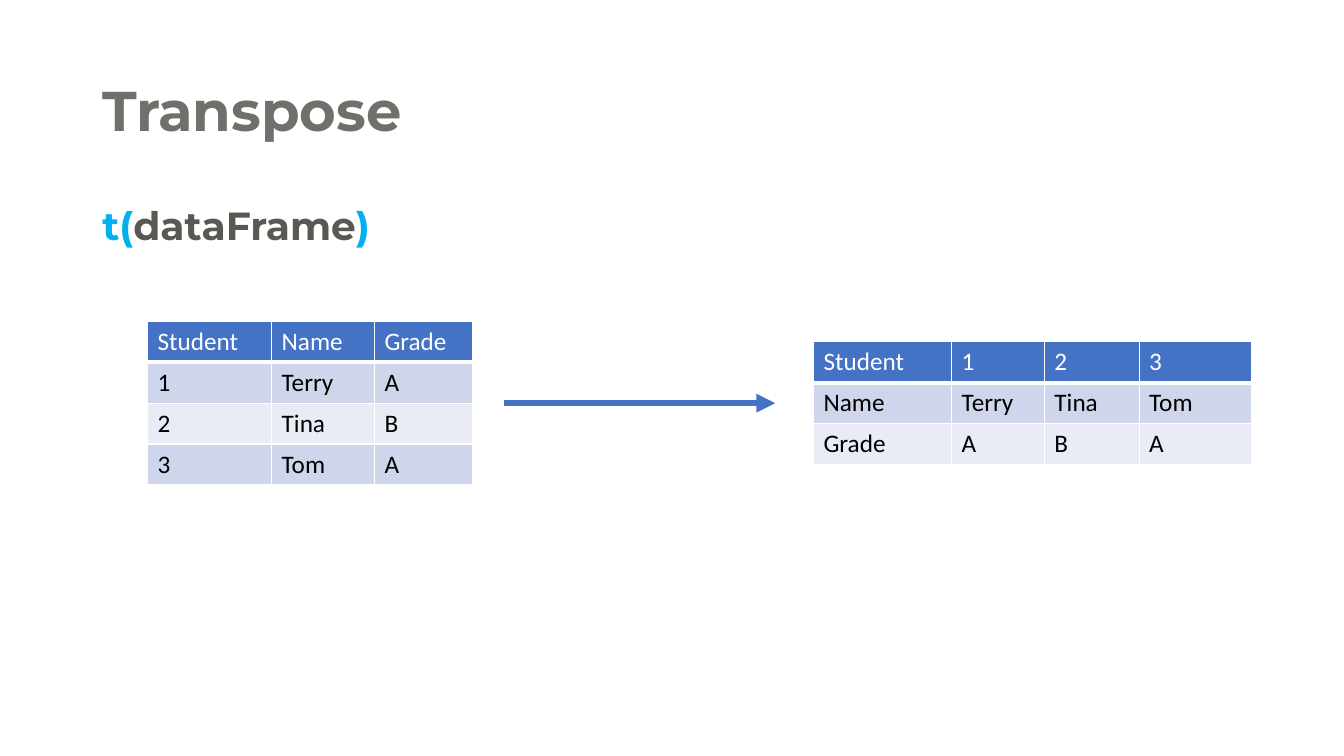
from dataclasses import dataclass
from typing import Any

import pptx
import pptx.dml.color
import pptx.enum.shapes
import pptx.enum.text
import pptx.oxml
import pptx.oxml.ns
import pptx.util

RGBColor = pptx.dml.color.RGBColor
WHITE = RGBColor(0xFF, 0xFF, 0xFF)
BLACK = RGBColor(0x00, 0x00, 0x00)
TITLE_GRAY = RGBColor(0x6E, 0x70, 0x6A)
ARGUMENT_GRAY = RGBColor(0x58, 0x59, 0x51)
FUNCTION_BLUE = RGBColor(0x00, 0xB0, 0xF0)
HEADER_BLUE = RGBColor(0x44, 0x72, 0xC4)
BANDS = (RGBColor(0xCF, 0xD5, 0xEA), RGBColor(0xE9, 0xEB, 0xF5))

SLIDE_WIDTH = pptx.util.Inches(13.33)
SLIDE_HEIGHT = pptx.util.Inches(7.5)

# Places and sizes are percentages of the slide's width or height
MARGIN, TEXT_WIDTH = 6.88, 86.25
MIDLINE = 53.33
ROW_HEIGHT = 5.41

TITLE_FORMAT = {"name": "Montserrat", "size": pptx.util.Pt(40), "bold": True}
CODE_FORMAT = {"name": "Montserrat", "size": pptx.util.Pt(28), "bold": True}
CELL_FORMAT = {"name": "Calibri", "size": pptx.util.Pt(18), "bold": False}

STUDENTS = (
    ("Student", "Name", "Grade"),
    ("1", "Terry", "A"),
    ("2", "Tina", "B"),
    ("3", "Tom", "A"),
)


@dataclass
class Phrase:
    text: str
    color: RGBColor


@dataclass
class TextBlock:
    top: float
    height: float
    anchor: Any
    font_format: dict[str, Any]
    phrases: tuple[Phrase, ...]


@dataclass
class DataFrame:
    left: float
    column_widths: tuple[float, ...]
    rows: tuple[tuple[str, ...], ...]


TEXT_BLOCKS = (
    TextBlock(5.33, 19.33, pptx.enum.text.MSO_ANCHOR.MIDDLE, TITLE_FORMAT,
              (Phrase("Transpose", TITLE_GRAY),)),
    TextBlock(26.62, 63.45, pptx.enum.text.MSO_ANCHOR.TOP, CODE_FORMAT,
              (Phrase("t(", FUNCTION_BLUE),
               Phrase("dataFrame", ARGUMENT_GRAY),
               Phrase(")", FUNCTION_BLUE))),
)
DATA_FRAMES = (
    DataFrame(10.98, (9.23, 7.65, 7.28), STUDENTS),
    DataFrame(60.53, (10.28, 6.9, 7.05, 8.4), tuple(zip(*STUDENTS))),
)


def across(percent: float) -> int:
    return round(SLIDE_WIDTH * percent / 100)


def down(percent: float) -> int:
    return round(SLIDE_HEIGHT * percent / 100)


def format_run(run: Any, font_format: dict[str, Any], color: RGBColor) -> None:
    for attribute, value in font_format.items():
        setattr(run.font, attribute, value)
    run.font.color.rgb = color


def draw_text(slide: Any, block: TextBlock) -> None:
    box = slide.shapes.add_textbox(across(MARGIN), down(block.top),
                                   across(TEXT_WIDTH), down(block.height))
    frame = box.text_frame
    frame.word_wrap = True
    frame.vertical_anchor = block.anchor
    paragraph = frame.paragraphs[0]
    paragraph.line_spacing = 0.9
    for phrase in block.phrases:
        run = paragraph.add_run()
        run.text = phrase.text
        format_run(run, block.font_format, phrase.color)


def add_borders(cell: Any, is_header: bool) -> None:
    properties = cell._tc.get_or_add_tcPr()
    for side in "LRTB":
        width = pptx.util.Pt(3 if is_header and side == "B" else 1)
        properties.append(pptx.oxml.parse_xml(
            f'<a:ln{side} {pptx.oxml.ns.nsdecls("a")} w="{width}"><a:solidFill>'
            f'<a:srgbClr val="{WHITE}"/></a:solidFill></a:ln{side}>'))


def draw_data_frame(slide: Any, data: DataFrame) -> None:
    height = ROW_HEIGHT * len(data.rows)
    table = slide.shapes.add_table(
        len(data.rows), len(data.column_widths),
        across(data.left), down(MIDLINE - height / 2),
        across(sum(data.column_widths)), down(height)).table
    for column, width in zip(table.columns, data.column_widths):
        column.width = across(width)
    for row_index, values in enumerate(data.rows):
        is_header = row_index == 0
        table.rows[row_index].height = down(ROW_HEIGHT)
        for column_index, value in enumerate(values):
            cell = table.cell(row_index, column_index)
            add_borders(cell, is_header)
            cell.fill.solid()
            cell.fill.fore_color.rgb = (
                HEADER_BLUE if is_header else BANDS[(row_index - 1) % 2])
            run = cell.text_frame.paragraphs[0].add_run()
            run.text = value
            format_run(run, CELL_FORMAT, WHITE if is_header else BLACK)


def draw_arrow(slide: Any, start: float, end: float) -> None:
    arrow = slide.shapes.add_connector(
        pptx.enum.shapes.MSO_CONNECTOR.STRAIGHT,
        across(start), down(MIDLINE), across(end), down(MIDLINE))
    arrow.line.color.rgb = HEADER_BLUE
    arrow.line.width = pptx.util.Pt(4.5)
    namespace = pptx.oxml.ns.nsdecls("a")
    arrow.line._get_or_add_ln().append(
        pptx.oxml.parse_xml(f'<a:tailEnd {namespace} type="triangle"/>'))
    arrow._element.spPr.append(pptx.oxml.parse_xml(f"<a:effectLst {namespace}/>"))


def main() -> None:
    presentation = pptx.Presentation()
    presentation.slide_width = SLIDE_WIDTH
    presentation.slide_height = SLIDE_HEIGHT
    slide = presentation.slides.add_slide(presentation.slide_layouts[6])

    # Title and function call
    for block in TEXT_BLOCKS:
        draw_text(slide, block)

    # Data frame before and after transposing
    for data in DATA_FRAMES:
        draw_data_frame(slide, data)
    draw_arrow(slide, 37.5, 57.68)

    presentation.save("out.pptx")


if __name__ == "__main__":
    main()
